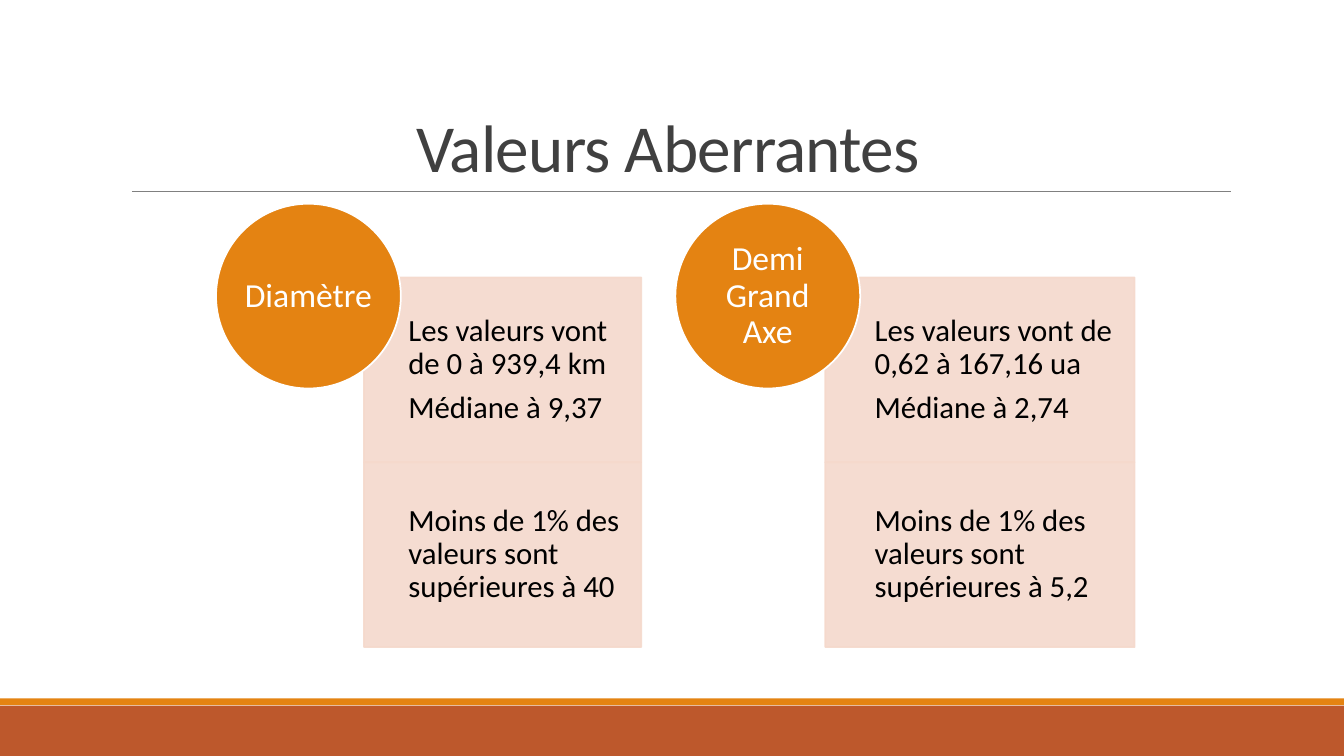
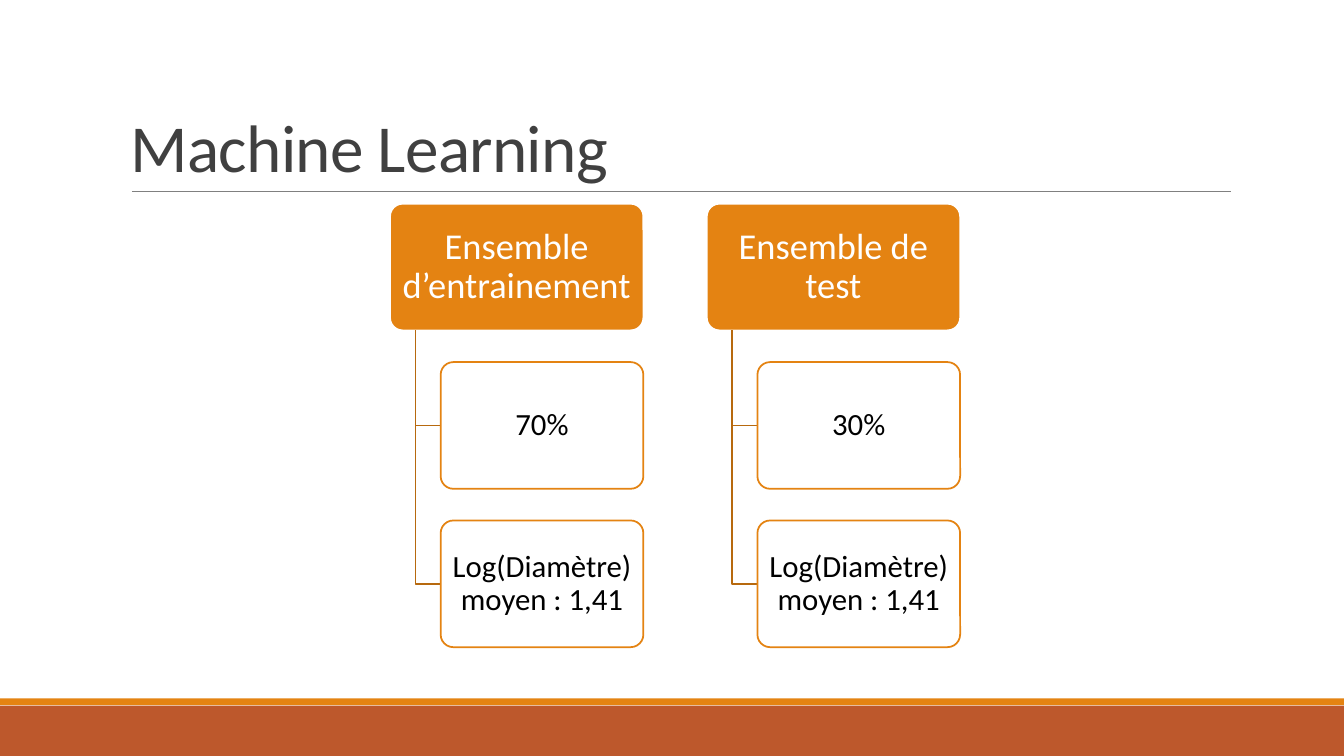
from dataclasses import dataclass

from lxml import etree
from pptx import Presentation
from pptx.dml.color import RGBColor
from pptx.enum import shapes, text
from pptx.oxml import ns
from pptx.shapes.autoshape import Shape
from pptx.slide import Slide
from pptx.util import Pt


@dataclass(frozen=True)
class Theme:
    font: str = "Calibri"
    white: str = "FFFFFF"
    black: str = "000000"
    title: str = "404040"
    rule: str = "808080"
    rust: str = "BD582C"
    orange: str = "E48312"
    brown: str = "B7690E"
    blush: str = "F5D9CC"
    title_size: float = 48
    head_size: float = 26
    circle_size: float = 24
    body_size: float = 22
    outline: float = 1.25
    alpha: int = 90


@dataclass(frozen=True)
class Area:
    left: float
    top: float
    width: float
    height: float


@dataclass(frozen=True)
class Outlier:
    name: str
    circle_left: float
    panel_left: float
    panel_width: float
    facts: tuple[str, ...]


@dataclass(frozen=True)
class Sample:
    name: str
    details: tuple[str, ...]


THEME = Theme()
SLIDE_WIDTH, SLIDE_HEIGHT = 960, 540
RULE_LEFT, RULE_RIGHT, RULE_TOP = 94.3, 879, 136.6
CONTENT_TOP = 145.5
DIAMETER = 132
PANEL_TOP = 198.2
HEAD_LEFT, HEAD_WIDTH, HEAD_HEIGHT = 278.6, 181, 90.5
PITCH = 1.25

OUTLIERS = (
    Outlier("Diamètre", 154.3, 260, 198, (
        "Les valeurs vont de 0 à 939,4 km\nMédiane à 9,37",
        "Moins de 1% des valeurs sont supérieures à 40",
    )),
    Outlier("Demi Grand Axe", 482.4, 589.5, 221, (
        "Les valeurs vont de 0,62 à 167,16 ua\nMédiane à 2,74",
        "Moins de 1% des valeurs sont supérieures à 5,2",
    )),
)
SAMPLES = (
    Sample("Ensemble d’entrainement", ("70%", "Log(Diamètre) moyen : 1,41")),
    Sample("Ensemble de test", ("30%", "Log(Diamètre) moyen : 1,41")),
)


def write(
    box: Shape,
    content: str,
    *,
    size: float,
    color: str,
    align: text.PP_ALIGN = text.PP_ALIGN.CENTER,
    anchor: text.MSO_ANCHOR = text.MSO_ANCHOR.MIDDLE,
    insets: tuple[float, float, float, float] = (0, 0, 0, 0),
    line_spacing: float = 0.9,
    tracking: float = 0,
) -> None:
    frame = box.text_frame
    frame.word_wrap = True
    frame.vertical_anchor = anchor
    frame.margin_left, frame.margin_top, frame.margin_right, frame.margin_bottom = map(Pt, insets)
    lines = content.split("\n")
    for index, line in enumerate(lines):
        para = frame.add_paragraph() if index else frame.paragraphs[0]
        para.alignment = align
        para.line_spacing = line_spacing
        if index < len(lines) - 1:
            para.space_after = Pt(0.35 * size)
        span = para.add_run()
        span.text = line
        span.font.name = THEME.font
        span.font.size = Pt(size)
        span.font.color.rgb = RGBColor.from_string(color)
    if tracking:
        for properties in box.element.iter(ns.qn("a:rPr")):
            properties.set("spc", str(int(tracking * 100)))


def set_alpha(box: Shape, fill_only: bool) -> None:
    fill = box.element.spPr.find(ns.qn("a:solidFill"))
    for color in (fill if fill_only else box.element.spPr).iter(ns.qn("a:srgbClr")):
        etree.SubElement(color, ns.qn("a:alpha")).set("val", str(THEME.alpha * 1000))


def add_box(
    page: Slide,
    kind: shapes.MSO_SHAPE,
    area: Area,
    *,
    fill: str,
    line: str | None = None,
) -> Shape:
    box = page.shapes.add_shape(
        kind, Pt(area.left), Pt(area.top), Pt(area.width), Pt(area.height)
    )
    box.shadow.inherit = False
    box.fill.solid()
    box.fill.fore_color.rgb = RGBColor.from_string(fill)
    if line is None:
        box.line.fill.background()
    else:
        box.line.color.rgb = RGBColor.from_string(line)
        box.line.width = Pt(THEME.outline)
    if kind == shapes.MSO_SHAPE.ROUNDED_RECTANGLE:
        box.adjustments[0] = 0.1
    return box


def add_page(deck: Presentation, title: str, align: text.PP_ALIGN) -> Slide:
    page = deck.slides.add_slide(deck.slide_layouts[6])
    rectangle = shapes.MSO_SHAPE.RECTANGLE
    add_box(page, rectangle, Area(0, 504, SLIDE_WIDTH, 36), fill=THEME.rust)
    add_box(page, rectangle, Area(0, 498.8, SLIDE_WIDTH, 4.8), fill=THEME.orange)
    rule = page.shapes.add_connector(
        shapes.MSO_CONNECTOR.STRAIGHT,
        Pt(RULE_LEFT), Pt(RULE_TOP), Pt(RULE_RIGHT), Pt(RULE_TOP),
    )
    rule.line.color.rgb = RGBColor.from_string(THEME.rule)
    rule.line.width = Pt(0.5)
    etree.SubElement(rule.element.spPr, ns.qn("a:effectLst"))
    box = page.shapes.add_textbox(Pt(86.4), Pt(22.5), Pt(792), Pt(114.2))
    write(
        box, title, size=THEME.title_size, color=THEME.title, align=align,
        anchor=text.MSO_ANCHOR.BOTTOM, insets=(7.2, 3.6, 7.2, 3.6),
        line_spacing=0.85, tracking=-0.5,
    )
    return page


def add_outlier(page: Slide, outlier: Outlier) -> None:
    for row, fact in enumerate(outlier.facts):
        area = Area(
            outlier.panel_left, PANEL_TOP + row * DIAMETER, outlier.panel_width, DIAMETER
        )
        panel = add_box(
            page, shapes.MSO_SHAPE.RECTANGLE, area, fill=THEME.blush, line=THEME.blush
        )
        set_alpha(panel, fill_only=False)
        write(
            panel, fact, size=THEME.body_size, color=THEME.black,
            align=text.PP_ALIGN.LEFT,
            insets=(0.16 * outlier.panel_width, 12.2, 12.2, 12.2),
        )
    circle = add_box(
        page, shapes.MSO_SHAPE.OVAL,
        Area(outlier.circle_left, CONTENT_TOP, DIAMETER, DIAMETER),
        fill=THEME.orange, line=THEME.white,
    )
    write(circle, outlier.name, size=THEME.circle_size, color=THEME.white)


def add_elbow(page: Slide, left: float, top: float, right: float, bottom: float) -> None:
    builder = page.shapes.build_freeform(Pt(left), Pt(top))
    builder.add_line_segments(
        [(Pt(left), Pt(bottom)), (Pt(right), Pt(bottom))], close=False
    )
    elbow = builder.convert_to_shape()
    elbow.shadow.inherit = False
    elbow.fill.background()
    elbow.line.color.rgb = RGBColor.from_string(THEME.brown)
    elbow.line.width = Pt(THEME.outline)


def add_sample(page: Slide, sample: Sample, left: float) -> None:
    rounded = shapes.MSO_SHAPE.ROUNDED_RECTANGLE
    head = add_box(
        page, rounded, Area(left, CONTENT_TOP, HEAD_WIDTH, HEAD_HEIGHT),
        fill=THEME.orange, line=THEME.white,
    )
    write(
        head, sample.name, size=THEME.head_size, color=THEME.white,
        insets=(3.9, 2.6, 3.9, 2.6),
    )
    trunk = left + 0.1 * HEAD_WIDTH
    child_left = left + 0.2 * HEAD_WIDTH
    for row, detail in enumerate(sample.details, start=1):
        top = CONTENT_TOP + row * PITCH * HEAD_HEIGHT
        add_elbow(
            page, trunk, CONTENT_TOP + HEAD_HEIGHT, child_left, top + HEAD_HEIGHT / 2
        )
        child = add_box(
            page, rounded, Area(child_left, top, 0.8 * HEAD_WIDTH, HEAD_HEIGHT),
            fill=THEME.white, line=THEME.orange,
        )
        set_alpha(child, fill_only=True)
        write(
            child, detail, size=THEME.body_size, color=THEME.black,
            insets=(3.3, 2.2, 3.3, 2.2),
        )


def main() -> None:
    deck = Presentation()
    deck.slide_width, deck.slide_height = Pt(SLIDE_WIDTH), Pt(SLIDE_HEIGHT)

    page = add_page(deck, "Valeurs Aberrantes ", text.PP_ALIGN.CENTER)
    for outlier in OUTLIERS:
        add_outlier(page, outlier)

    page = add_page(deck, "Machine Learning", text.PP_ALIGN.LEFT)
    for column, sample in enumerate(SAMPLES):
        add_sample(page, sample, HEAD_LEFT + column * PITCH * HEAD_WIDTH)

    deck.save("out.pptx")


if __name__ == "__main__":
    main()
